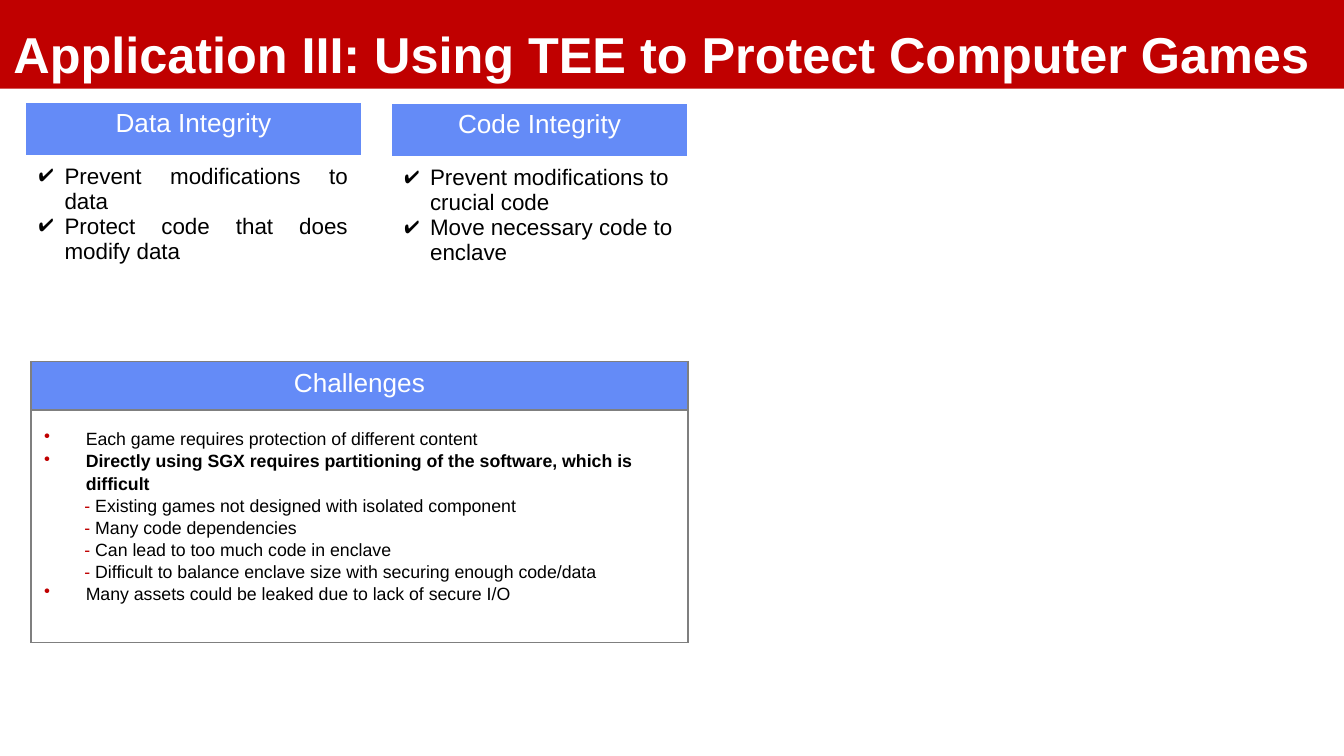
from lxml import etree
from pptx import Presentation
from pptx.dml.color import RGBColor
from pptx.enum.text import MSO_ANCHOR, MSO_AUTO_SIZE, PP_ALIGN
from pptx.oxml.ns import qn
from pptx.util import Inches, Pt

LEFT, MID, JUST = PP_ALIGN.LEFT, PP_ALIGN.CENTER, PP_ALIGN.JUSTIFY
RED = RGBColor(0xC0, 0x00, 0x00)
BLUE = RGBColor(0x64, 0x8B, 0xF7)
GREY = RGBColor(0x7F, 0x7F, 0x7F)
WHITE = RGBColor(0xFF, 0xFF, 0xFF)
BLACK = RGBColor(0x00, 0x00, 0x00)

TITLE = "Application III: Using TEE to Protect Computer Games"
CARDS = [
    {"head": "Challenges", "at": (0.23, 2.69, 4.89), "rows": (0.36, 1.73),
     "line": (GREY, 0.75, 0.75), "align": LEFT, "items": []},
    {"head": "Data Integrity", "at": (0.19, 0.76, 2.5), "rows": (0.41, 1.3),
     "line": (WHITE, 1, 3), "align": JUST,
     "items": ["Prevent modifications to data",
               "Protect code that does modify data"]},
    {"head": "Code Integrity", "at": (2.91, 0.77, 2.21), "rows": (0.41, 1.23),
     "line": (WHITE, 1, 3), "align": LEFT,
     "items": ["Prevent modifications to crucial code",
               "Move necessary code to enclave"]},
]
ISSUES = [
    ("•", "Each game requires protection of different content", False),
    ("•", "Directly using SGX requires partitioning of the software, "
          "which is difficult", True),
    ("-", "Existing games not designed with isolated component", False),
    ("-", "Many code dependencies", False),
    ("-", "Can lead to too much code in enclave", False),
    ("-", "Difficult to balance enclave size with securing enough code/data",
     False),
    ("•", "Many assets could be leaked due to lack of secure I/O", False),
]
MARKS = {"•": (0.31, RED), "✔": (0.19, BLACK)}


def write(para, text, size, color, bold=False, align=LEFT):
    para.alignment = align
    run = para.add_run()
    run.text = text
    run.font.color.rgb = color
    form = {"name": "Arial", "size": Pt(size), "bold": bold}
    for key, value in form.items():
        setattr(run.font, key, value)


def paint(parent, color):
    etree.SubElement(parent, qn("a:srgbClr"), val=str(color))


def bullet(para, mark):
    left, color = MARKS[mark]
    props = para._p.get_or_add_pPr()
    props.set("marL", str(Inches(left)))
    props.set("indent", str(-Inches(left)))
    paint(etree.SubElement(props, qn("a:buClr")), color)
    etree.SubElement(props, qn("a:buChar"), char=mark)


def paras(frame, count):
    return [frame.paragraphs[0]] + [frame.add_paragraph()
                                    for _ in range(count - 1)]


def style(cell, fill, color, thin, thick, inner):
    props = cell._tc.get_or_add_tcPr()
    for side in ("lnL", "lnR", "lnT", "lnB"):
        width = Pt(thick if side == inner else thin)
        line = etree.SubElement(props, qn("a:" + side), w=str(width))
        paint(etree.SubElement(line, qn("a:solidFill")), color)
    cell.fill.solid()
    cell.fill.fore_color.rgb = fill


def card(slide, data):
    left, top, width = data["at"]
    rows = data["rows"]
    table = slide.shapes.add_table(
        2, 1, *map(Inches, (left, top, width, sum(rows)))).table
    table.first_row = table.horz_banding = False
    for row, high in zip(table.rows, rows):
        row.height = Inches(high)
    head, body = table.cell(0, 0), table.cell(1, 0)
    style(head, BLUE, *data["line"], "lnB")
    style(body, WHITE, *data["line"], "lnT")
    write(head.text_frame.paragraphs[0], data["head"], 14, WHITE, align=MID)
    items = data["items"]
    for para, text in zip(paras(body.text_frame, len(items)), items):
        bullet(para, "✔")
        write(para, text, 12, BLACK, align=data["align"])


def banner(slide):
    title = slide.shapes.title
    spot = {"left": 0, "top": 0, "width": 10, "height": 0.66}
    for key, value in spot.items():
        setattr(title, key, Inches(value))
    title.fill.solid()
    title.fill.fore_color.rgb = RED
    frame = title.text_frame
    frame.auto_size = MSO_AUTO_SIZE.NONE
    frame.vertical_anchor = MSO_ANCHOR.MIDDLE
    para = frame.paragraphs[0]
    para.line_spacing = 1.3
    write(para, TITLE, 27, WHITE, True)


def issues(slide):
    box = slide.shapes.add_textbox(*map(Inches, (0.23, 3.13, 4.91, 1.54)))
    frame = box.text_frame
    frame.word_wrap = True
    for para, (mark, text, bold) in zip(paras(frame, len(ISSUES)), ISSUES):
        if mark in MARKS:
            bullet(para, mark)
        else:
            para._p.get_or_add_pPr().set("marL", str(Inches(0.3)))
            write(para, mark + " ", 9.5, RED)
        para.line_spacing = 1.04
        write(para, text, 9.5, BLACK, bold)


def main():
    deck = Presentation()
    deck.slide_width = Inches(10)
    deck.slide_height = deck.slide_width * 9 // 16
    slide = deck.slides.add_slide(deck.slide_layouts[5])
    banner(slide)
    for data in CARDS:
        card(slide, data)
    issues(slide)
    deck.save("out.pptx")


if __name__ == "__main__":
    main()
